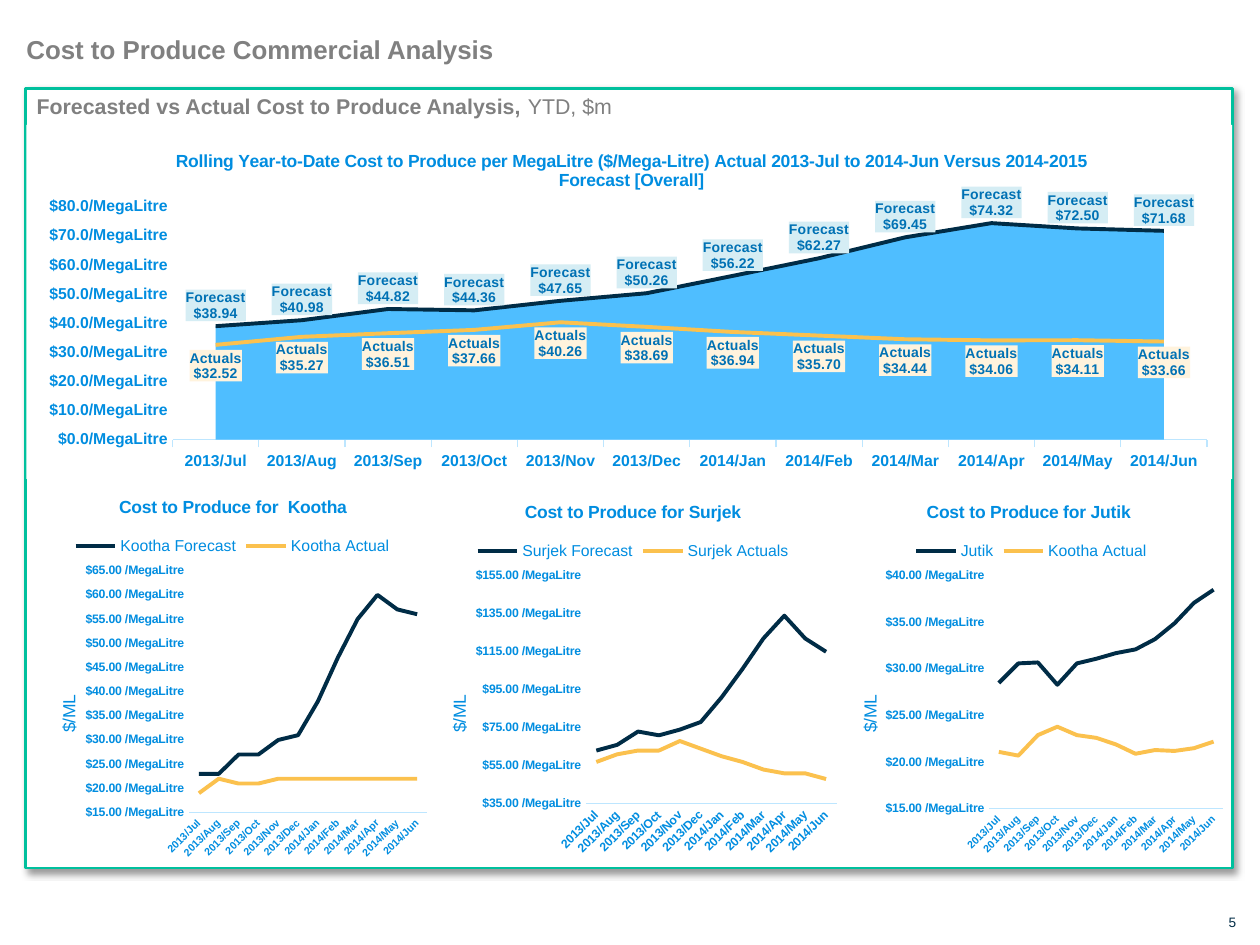
from pptx import Presentation
from pptx import util as u
from pptx.chart import data as cd
from pptx.dml import color
from pptx.enum import chart as ch, shapes, text
from pptx.oxml import parse_xml
from pptx.oxml.ns import nsdecls

COLORS = {"navy": "002C46", "grey": "808080", "blue": "008DE0", "sky": "4FBEFF",
          "axis": "BDE6FF", "gold": "FBC14E", "green": "00C09D", "white": "FFFFFF",
          "label": "0071B4", "forecast_bg": "D5EDF4", "actuals_bg": "FFF3DD"}
MONTHS = ["Jan", "Feb", "Mar", "Apr", "May", "Jun",
          "Jul", "Aug", "Sep", "Oct", "Nov", "Dec"]
PERIODS = [f"2013/{m}" for m in MONTHS[6:]] + [f"2014/{m}" for m in MONTHS[:6]]
MONEY = '"$"#,##0.00;[Red]\\-"$"#,##0.00'
UNIT_MONEY = '"$"0.00\\ "/MegaLitre"'

FORECAST = [38.94, 40.98, 44.82, 44.36, 47.65, 50.26,
            56.22, 62.27, 69.45, 74.32, 72.5, 71.68]
ACTUALS = [32.52, 35.27, 36.51, 37.66, 40.26, 38.69,
           36.94, 35.7, 34.44, 34.06, 34.11, 33.66]

# Boxes and positions are in slide inches
OVERALL = dict(
    box=(0.21, 0.99, 9.57, 2.81), plot=(1.37, 1.64, 8.21, 1.85),
    title="Rolling Year-to-Date Cost to Produce per MegaLitre ($/Mega-Litre) "
          "Actual 2013-Jul to 2014-Jun Versus 2014-2015 Forecast [Overall]",
    title_at=(1.37, 1.16), fmt='"$"#,##0.0"/MegaLitre"', scale=(0, 80, 10), sizes=(9, 9),
    series={"Series 1": [39, 41, 45, 44, 48, 50, 56, 62, 69, 74, 72, 72],
            "Series 2": [33, 35, 37, 38, 40, 39, 37, 36, 34, 34, 34, 34],
            "Forecast": FORECAST, "Actuals": ACTUALS})
SITES = [
    dict(box=(0.2, 3.75, 3.26, 3.14), plot=(1.5, 4.53, 1.89, 1.92),
         title="Cost to Produce for  Kootha", title_at=(0.92, 3.91),
         legend_at=(0.56, 4.22), axis_at=(0.43, 5.49), scale=(15, 65, 5), sizes=(6, 7),
         series={"Kootha Forecast": [23, 23, 27, 27, 30, 31, 38, 47, 55, 60, 57, 56],
                 "Kootha Actual": [19, 22, 21, 21, 22, 22, 22, 22, 22, 22, 22, 22]}),
    dict(box=(3.29, 3.79, 3.42, 3.06), plot=(4.65, 4.57, 1.99, 1.81),
         title="Cost to Produce for Surjek", title_at=(4.14, 3.95),
         legend_at=(3.75, 4.26), axis_at=(3.53, 5.49), scale=(35, 155, 20), sizes=(7, 7),
         series={"Surjek Forecast": [63, 66, 73, 71, 74, 78, 91, 106, 122, 134, 122, 115],
                 "Surjek Actuals": [57, 61, 63, 63, 68, 64, 60, 57, 53, 51, 51, 48]}),
    dict(box=(6.54, 3.79, 3.23, 3.06), plot=(7.85, 4.57, 1.86, 1.85),
         title="Cost to Produce for Jutik", title_at=(7.33, 3.95),
         legend_at=(7.23, 4.26), axis_at=(6.79, 5.49), scale=(15, 40, 5), sizes=(6, 7),
         series={"Jutik": [28.5, 30.6, 30.7, 28.3, 30.6, 31.1,
                           31.7, 32.1, 33.2, 34.9, 37.1, 38.5],
                 "Kootha Actual": [21.1, 20.7, 22.9, 23.8, 22.9, 22.6,
                                   21.9, 20.9, 21.3, 21.2, 21.5, 22.2]}),
]


def rgb(name):
    return color.RGBColor.from_string(COLORS[name])


def inches(values):
    return [u.Inches(v) for v in values]


def apply(obj, **values):
    for key, value in values.items():
        setattr(obj, key, value)


def style(font, size, col, bold=False):
    apply(font, name="Arial", size=u.Pt(size), bold=bold)
    font.color.rgb = rgb(col)


def add_text(slide, box, runs, size, col, **para):
    tf = slide.shapes.add_textbox(*inches(box)).text_frame
    apply(tf, word_wrap=True, margin_left=0, margin_right=0, margin_top=0, margin_bottom=0)
    p = tf.paragraphs[0]
    apply(p, **para)
    for words, bold in runs:
        r = p.add_run()
        r.text = words
        style(r.font, size, col, bold)


def add_panel(slide, box):
    sp = slide.shapes.add_shape(shapes.MSO_SHAPE.RECTANGLE, *inches(box))
    sp.fill.solid()
    sp.fill.fore_color.rgb = rgb("white")
    sp.line.color.rgb = rgb("green")
    sp.line.width = u.Pt(1.5)
    sp.shadow.inherit = False
    effects = sp._element.spPr.find("{*}effectLst")
    effects.append(parse_xml(
        f'<a:outerShdw {nsdecls("a")} blurRad="{u.Pt(4)}" dist="{u.Pt(3)}" dir="2700000" '
        'algn="tl" rotWithShape="0"><a:srgbClr val="000000"><a:alpha val="40000"/>'
        '</a:srgbClr></a:outerShdw>'))


def place(parent, box, at, after=None):
    """Give a chart part a fixed position, converted to fractions of the chart."""
    for old in parent.findall("{*}layout"):
        parent.remove(old)
    left, top, width, height = box
    values = dict(x=(at[0] - left) / width, y=(at[1] - top) / height)
    target = ""
    if len(at) == 4:
        target = '<c:layoutTarget val="inner"/>'
        values.update(w=at[2] / width, h=at[3] / height)
    modes = '<c:xMode val="edge"/><c:yMode val="edge"/>'
    sizes = "".join(f'<c:{k} val="{v:.4f}"/>' for k, v in values.items())
    layout = parse_xml(f'<c:layout {nsdecls("c")}><c:manualLayout>{target}{modes}{sizes}'
                       '</c:manualLayout></c:layout>')
    if after is None:
        parent.insert(0, layout)
    else:
        parent.find("{*}" + after).addnext(layout)


def set_title(title, words, box, at, bold):
    tf = title.text_frame
    tf.text = words
    style(tf.paragraphs[0].runs[0].font, 10, "blue", bold)
    place(title._element, box, at, "tx")
    return tf


def add_line_chart(slide, box, plot, title, title_at, scale, sizes, series,
                   fmt=UNIT_MONEY, legend_at=None, axis_at=None):
    data = cd.CategoryChartData()
    data.categories = PERIODS
    for name, values in series.items():
        data.add_series(name, values)
    chart = slide.shapes.add_chart(ch.XL_CHART_TYPE.LINE, *inches(box), data).chart
    style(chart.font, 10, "navy")
    chart.has_title = True
    set_title(chart.chart_title, title, box, title_at, True)
    place(chart._chartSpace.xpath(".//c:plotArea")[0], box, plot)

    # Axes
    cat, val = chart.category_axis, chart.value_axis
    for axis, size in zip((cat, val), sizes):
        apply(axis, has_major_gridlines=False, major_tick_mark=ch.XL_TICK_MARK.NONE,
              minor_tick_mark=ch.XL_TICK_MARK.NONE)
        style(axis.tick_labels.font, size, "blue", True)
    cat.format.line.color.rgb = rgb("axis")
    cat.format.line.width = u.Pt(0.75)
    val.format.line.fill.background()
    apply(val, **dict(zip(("minimum_scale", "maximum_scale", "major_unit"), scale)))
    apply(val.tick_labels, number_format=fmt, number_format_is_linked=False)

    # Legend and unit title
    chart.has_legend = legend_at is not None
    if legend_at:
        apply(chart.legend, position=ch.XL_LEGEND_POSITION.TOP, include_in_layout=False)
        style(chart.legend.font, 9, "blue")
        place(chart.legend._element, box, legend_at, "legendPos")
    if axis_at:
        tf = set_title(val.axis_title, "$/ML", box, axis_at, False)
        tf._txBody.bodyPr.set("rot", "-5400000")
        cat._element.xpath("./c:txPr/a:bodyPr")[0].set("rot", "-2700000")

    # The last two series are the forecast and actual lines
    for ser, col in zip(list(chart.series)[-2:], ("navy", "gold")):
        ser.smooth = False
        ser.format.line.color.rgb = rgb(col)
        ser.format.line.width = u.Pt(2.25)
    return chart


def label_series(ser, position, background):
    dl = ser.data_labels
    apply(dl, number_format=MONEY, number_format_is_linked=False, position=position,
          show_value=True, show_series_name=True)
    style(dl.font, 8, "label", True)
    el = dl._element
    el.find("{*}numFmt").addnext(solid_props(background))
    el.find("{*}showBubbleSize").addnext(
        parse_xml(f'<c:separator {nsdecls("c")}>\n</c:separator>'))


def solid_props(col):
    return parse_xml(f'<c:spPr {nsdecls("c", "a")}><a:solidFill><a:srgbClr '
                     f'val="{COLORS[col]}"/></a:solidFill><a:ln><a:noFill/></a:ln></c:spPr>')


def add_overall_chart(slide):
    chart = add_line_chart(slide, **OVERALL)
    chart.category_axis.major_tick_mark = ch.XL_TICK_MARK.OUTSIDE
    space = chart._chartSpace
    space.find("{*}chart").addnext(solid_props("white"))
    all_series = list(chart.series)
    label_series(all_series[2], ch.XL_LABEL_POSITION.ABOVE, "forecast_bg")
    label_series(all_series[3], ch.XL_LABEL_POSITION.BELOW, "actuals_bg")

    # Move the first two series into an area plot behind the lines
    line_plot = space.xpath(".//c:lineChart")[0]
    area = parse_xml(f'<c:areaChart {nsdecls("c")}><c:grouping val="standard"/>'
                     '<c:varyColors val="0"/></c:areaChart>')
    for ser, col in zip(all_series[:2], ("sky", None)):
        if col:
            ser.format.fill.solid()
            ser.format.fill.fore_color.rgb = rgb(col)
        else:
            ser.format.fill.background()
        ser.format.line.fill.background()
        el = ser._element
        for extra in el.xpath("./c:marker | ./c:smooth"):
            el.remove(extra)
        area.append(el)
    for axis_id in line_plot.findall("{*}axId"):
        area.append(parse_xml(f'<c:axId {nsdecls("c")} val="{axis_id.get("val")}"/>'))
    line_plot.addprevious(area)
    val = chart.value_axis._element
    for old in val.findall("{*}crossBetween"):
        val.remove(old)
    val.find("{*}crosses").addnext(
        parse_xml(f'<c:crossBetween {nsdecls("c")} val="between"/>'))


def main():
    prs = Presentation()
    apply(prs, slide_width=u.Inches(10), slide_height=u.Inches(7.5))
    slide = prs.slides.add_slide(prs.slide_layouts[6])

    # Frame and headings
    add_text(slide, (9.67, 7.25, 0.14, 0.13), [("5", False)], 7.8, "navy",
             alignment=text.PP_ALIGN.RIGHT)
    add_panel(slide, (0.2, 0.7, 9.58, 6.19))
    add_text(slide, (0.21, 0.27, 9.58, 0.25),
             [("Cost to Produce Commercial Analysis", True)], 14.8, "grey")
    add_text(slide, (0.29, 0.74, 8.08, 0.21),
             [("Forecasted vs Actual Cost to Produce Analysis, ", True),
              ("YTD, $m", False)], 12.2, "grey")

    # Charts
    add_overall_chart(slide)
    for site in SITES:
        add_line_chart(slide, **site)
    prs.save("out.pptx")


main()
